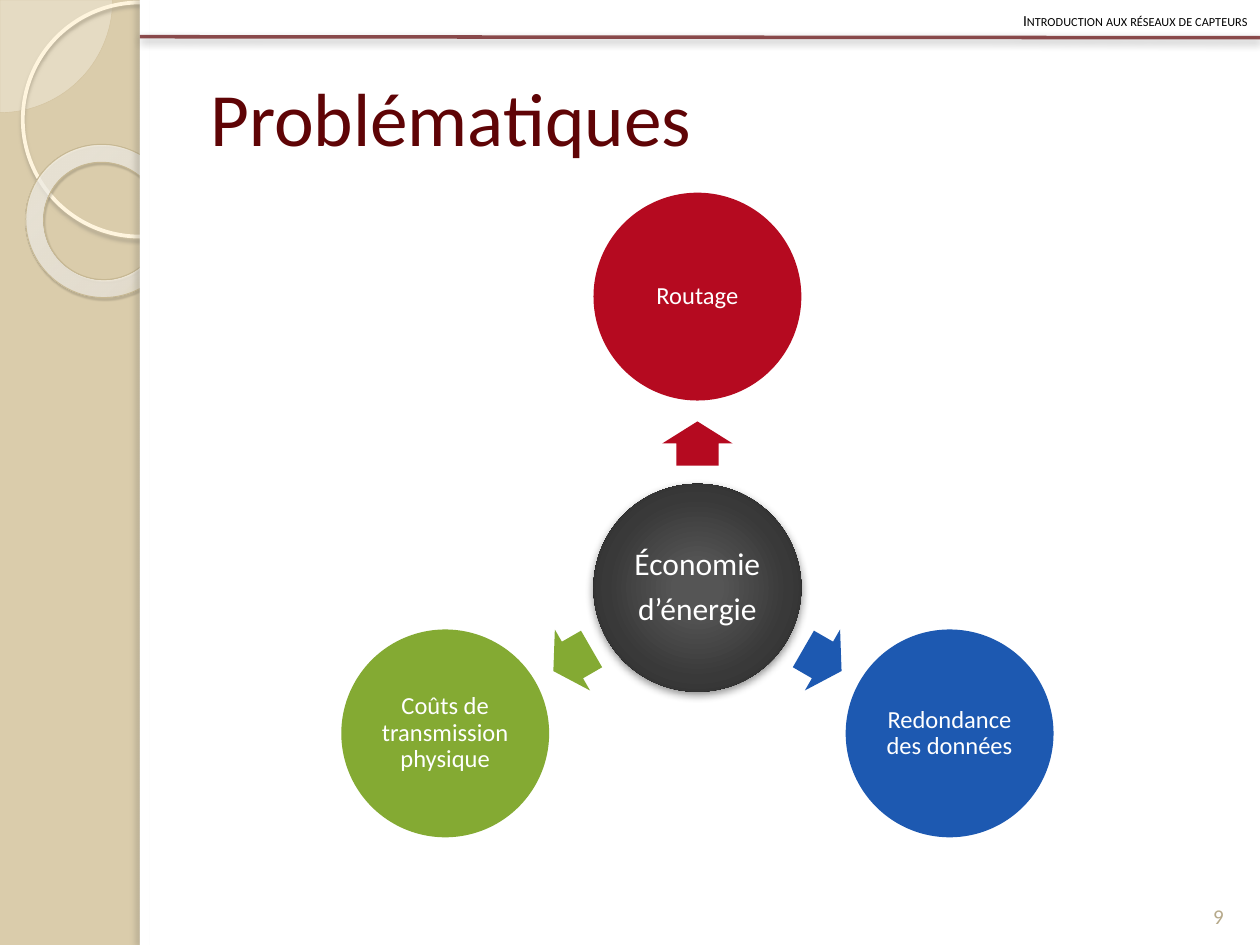
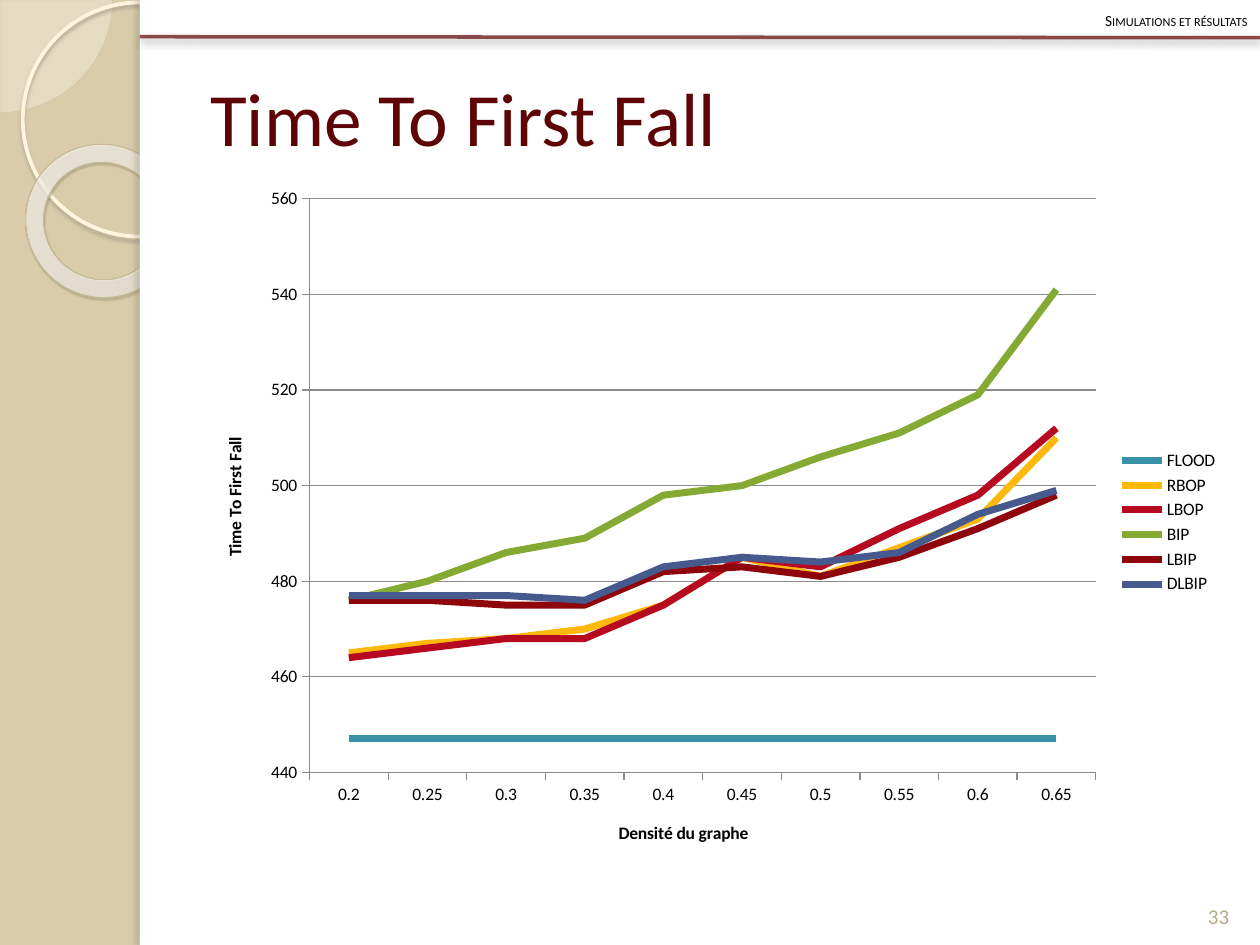
from math import cos, radians, sin

from lxml import etree
from pptx import Presentation
from pptx.chart.data import CategoryChartData
from pptx.dml.color import RGBColor
from pptx.enum.chart import XL_CHART_TYPE, XL_LEGEND_POSITION, XL_MARKER_STYLE, XL_TICK_MARK
from pptx.enum.shapes import MSO_CONNECTOR, MSO_SHAPE
from pptx.enum.text import MSO_ANCHOR, PP_ALIGN
from pptx.oxml.ns import qn
from pptx.util import Cm, Pt

LINE_CHART = XL_CHART_TYPE.LINE
LEGEND_RIGHT = XL_LEGEND_POSITION.RIGHT
NO_MARKER = XL_MARKER_STYLE.NONE
TICK_OUT, TICK_NONE = XL_TICK_MARK.OUTSIDE, XL_TICK_MARK.NONE
STRAIGHT = MSO_CONNECTOR.STRAIGHT
ELLIPSE, RECTANGLE, DONUT = MSO_SHAPE.OVAL, MSO_SHAPE.RECTANGLE, MSO_SHAPE.DONUT
PIE, ARROW = MSO_SHAPE.PIE, MSO_SHAPE.RIGHT_ARROW
MIDDLE, BOTTOM = MSO_ANCHOR.MIDDLE, MSO_ANCHOR.BOTTOM
LEFT, CENTER, RIGHT = PP_ALIGN.LEFT, PP_ALIGN.CENTER, PP_ALIGN.RIGHT

# Shared style
FONT = "Calibri"
WIDTH, HEIGHT = 25.4, 19.05
BAND = 2.82
SAND, WHITE, BLACK, GREY = "DACCAB", "FFFFFF", "000000", "8B8B8B"
MAROON, RED, BLUE, GREEN = "5F0406", "B50A20", "1D59B1", "84AA33"
NUMBER_COLOR = "B6A98A"

# Shadows: colour, opacity %, blur pt, distance pt, direction in degrees
SOFT_SHADOW = (BLACK, 43, 5, 2, 90)
RING_SHADOW = ("B0A68F", 85, 2, 2, 90)
DONUT_SHADOW = ("5A5444", 35, 1, 1.2, 75)
EDGE_SHADOW = ("736F63", 25, 3, 3, 180)

# Gradients: (position %, colour, opacity %), then the focus rectangle in %
DONUT_STOPS = [(0, "FFFCF6", 70), (70, "FFFEFB", 55), (100, "F0D28E", 60)]
DONUT_FOCUS = (-408, -50, 508, 150)
HUB_STOPS = [(0, "555555", 100), (15, "555555", 100), (62, "393939", 100),
             (97, "262626", 100), (100, BLACK, 100)]
HUB_FOCUS = (50, 50, 50, 50)

# Content
ISSUES = {"section": "Introduction aux réseaux de capteurs",
          "title": "Problématiques", "number": "9"}
HUB = ["Économie", "d’énergie"]
SATELLITES = [("Routage", RED, 270), ("Redondance des données", BLUE, 30),
              ("Coûts de transmission physique", GREEN, 150)]

RESULTS = {"section": "Simulations et résultats",
           "title": "Time To First Fall", "number": "33"}
DENSITY_TITLE, FALL_TITLE = "Densité du graphe", "Time To First Fall"
DENSITIES = ["0.2", "0.25", "0.3", "0.35", "0.4", "0.45", "0.5", "0.55", "0.6", "0.65"]
SERIES = [
    ("FLOOD", "3891A7", [447] * len(DENSITIES)),
    ("RBOP", "FEB80A", [465, 467, 468, 470, 475, 485, 481, 487, 493, 510]),
    ("LBOP", RED, [464, 466, 468, 468, 475, 485, 483, 491, 498, 512]),
    ("BIP", GREEN, [476, 480, 486, 489, 498, 500, 506, 511, 519, 541]),
    ("LBIP", "8E060B", [476, 476, 475, 475, 482, 483, 481, 485, 491, 498]),
    ("DLBIP", "475A8D", [477, 477, 477, 476, 483, 485, 484, 486, 494, 499]),
]


def rgb(color):
    return RGBColor.from_string(color)


def child(parent, tag, **attributes):
    element = etree.SubElement(parent, qn(tag))
    for name, value in attributes.items():
        element.set(name, str(value))
    return element


def set_opacity(color_element, percent):
    child(color_element, "a:alpha", val=percent * 1000)


def cast_shadow(effects, color, opacity, blur, distance, direction):
    shadow = child(effects, "a:outerShdw", blurRad=Pt(blur), dist=Pt(distance),
                   dir=direction * 60000, algn="ctr", rotWithShape=0)
    set_opacity(child(shadow, "a:srgbClr", val=color), opacity)


def fill_radial(shape, stops, focus):
    properties = shape.fill._xPr
    gradient = etree.Element(qn("a:gradFill"), rotWithShape="1")
    stop_list = child(gradient, "a:gsLst")
    for position, color, opacity in stops:
        stop = child(stop_list, "a:gs", pos=position * 1000)
        set_opacity(child(stop, "a:srgbClr", val=color), opacity)
    circle = child(gradient, "a:path", path="circle")
    sides = {side: share * 1000 for side, share in zip("ltrb", focus)}
    child(circle, "a:fillToRect", **sides)
    properties.replace(properties.find(qn("a:noFill")), gradient)


def add_figure(page, preset, place, fill=None, line=None, shadow=None):
    """Place is left, top, width, height in cm; line is colour, points."""
    shape = page.shapes.add_shape(preset, *[Cm(length) for length in place])
    if fill:
        shape.fill.solid()
        shape.fill.fore_color.rgb = rgb(fill)
    else:
        shape.fill.background()
    if line:
        shape.line.color.rgb = rgb(line[0])
        shape.line.width = Pt(line[1])
    else:
        shape.line.fill.background()
    shape.shadow.inherit = False
    if shadow:
        cast_shadow(shape._element.spPr.find(qn("a:effectLst")), *shadow)
    return shape


def write(shape, lines, size, color, align=LEFT, anchor=MIDDLE, inset=None,
          spacing=None, before=None, after=None, small_caps=False):
    frame = shape.text_frame
    frame.word_wrap = True
    frame.vertical_anchor = anchor
    if inset is not None:
        frame.margin_left = frame.margin_right = Cm(inset)
        frame.margin_top = frame.margin_bottom = Cm(inset)
    for index, text in enumerate(lines):
        para = frame.add_paragraph() if index else frame.paragraphs[0]
        para.alignment = align
        if spacing:
            para.line_spacing = spacing
        if before:
            para.space_before = Pt(before)
        if after:
            para.space_after = Pt(after)
        span = para.add_run()
        span.text = text
        span.font.name = FONT
        span.font.size = Pt(size)
        span.font.color.rgb = rgb(color)
        if small_caps:
            span.font._element.set("cap", "small")


def add_text(page, place, text, size, color, **style):
    box = page.shapes.add_textbox(*[Cm(length) for length in place])
    write(box, [text], size, color, **style)


def add_page(deck, content):
    page = deck.slides.add_slide(deck.slide_layouts[6])
    page.background.fill.solid()
    page.background.fill.fore_color.rgb = rgb(SAND)

    # Circles in the left band
    quarter = add_figure(page, PIE, (-2.27, -2.27, 4.54, 4.54), "FEFAF4", ("D3C39F", 0.25))
    quarter.adjustments[0], quarter.adjustments[1] = 0, 54
    set_opacity(quarter.fill._xPr.find(qn("a:solidFill"))[0], 33)
    add_figure(page, ELLIPSE, (0.46, 0.05, 4.72, 4.72),
               line=("FFF5DE", 2.15), shadow=RING_SHADOW)
    ring = add_figure(page, DONUT, (0.51, 2.92, 3.12, 3.07),
                      line=("C7B893", 0.58), shadow=DONUT_SHADOW)
    ring.adjustments[0] = 0.118
    ring.rotation = 38.6
    fill_radial(ring, DONUT_STOPS, DONUT_FOCUS)

    # White panel with its shaded edge, and the header rule
    add_figure(page, RECTANGLE, (BAND, 0, WIDTH - BAND, HEIGHT), WHITE)
    add_figure(page, RECTANGLE, (BAND, 0, 0.2, HEIGHT), WHITE, shadow=EDGE_SHADOW)
    rule = page.shapes.add_connector(STRAIGHT, Cm(BAND), Cm(0.74), Cm(WIDTH), Cm(0.76))
    rule.line.color.rgb = rgb(MAROON)
    rule.line.width = Pt(2)
    set_opacity(rule.line.fill._xPr.find(qn("a:solidFill"))[0], 70)
    cast_shadow(child(rule._element.spPr, "a:effectLst"), *SOFT_SHADOW)

    # Title, section header and page number
    add_text(page, (3.99, 0.76, 20.83, 3.18), content["title"], 43, MAROON)
    add_text(page, (0, 0, WIDTH, 0.74), content["section"], 8.8, BLACK,
             align=RIGHT, spacing=1.2, before=6, small_caps=True)
    add_text(page, (23.93, 17.53, 1.27, 1.32), content["number"], 12, NUMBER_COLOR,
             align=CENTER, anchor=BOTTOM)
    return page


def add_radial_diagram(page):
    center_x, center_y = 14.06, 11.85
    diameter, orbit, arrow_orbit = 4.19, 5.87, 2.91
    arrow_width, arrow_height = 0.89, 1.42

    def around(angle, distance, width, height):
        return (center_x + distance * cos(radians(angle)) - width / 2,
                center_y + distance * sin(radians(angle)) - height / 2, width, height)

    hub = add_figure(page, ELLIPSE, around(0, 0, diameter, diameter), shadow=SOFT_SHADOW)
    fill_radial(hub, HUB_STOPS, HUB_FOCUS)
    write(hub, HUB, 18, WHITE, align=CENTER, inset=0.08, spacing=0.9, after=6.3)
    for label, color, angle in SATELLITES:
        arrow = add_figure(page, ARROW, around(angle, arrow_orbit, arrow_width, arrow_height), color)
        arrow.adjustments[0], arrow.adjustments[1] = 0.6, 0.5
        arrow.rotation = angle
        circle = add_figure(page, ELLIPSE, around(angle, orbit, diameter, diameter), color)
        write(circle, [label], 14, WHITE, align=CENTER, inset=0.05, spacing=0.9, after=4.9)


def style_axis(axis, title):
    axis.major_tick_mark = TICK_OUT
    axis.minor_tick_mark = TICK_NONE
    axis.format.line.color.rgb = rgb(GREY)
    span = axis.axis_title.text_frame.paragraphs[0].add_run()
    span.text = title
    span.font.name = FONT
    span.font.size = Pt(10)
    span.font.bold = True
    span.font.color.rgb = rgb(BLACK)


def add_line_chart(page):
    data = CategoryChartData()
    data.categories = DENSITIES
    for name, color, values in SERIES:
        data.add_series(name, values)
    chart = page.shapes.add_chart(LINE_CHART, Cm(3.99), Cm(3.53), Cm(20.83), Cm(14), data).chart
    chart.has_title = False
    chart.font.name = FONT
    chart.font.size = Pt(10)
    chart.font.color.rgb = rgb(BLACK)
    chart.has_legend = True
    chart.legend.position = LEGEND_RIGHT
    chart.legend.include_in_layout = False

    style_axis(chart.category_axis, DENSITY_TITLE)
    falls = chart.value_axis
    style_axis(falls, FALL_TITLE)
    falls.minimum_scale, falls.maximum_scale, falls.major_unit = 440, 560, 20
    falls.has_major_gridlines = True
    falls.major_gridlines.format.line.color.rgb = rgb(GREY)

    plot = chart.plots[0]
    plot.vary_by_categories = False
    for series, (name, color, values) in zip(plot.series, SERIES):
        series.smooth = False
        series.marker.style = NO_MARKER
        series.format.line.color.rgb = rgb(color)
        series.format.line.width = Pt(4)


deck = Presentation()
deck.slide_width, deck.slide_height = Cm(WIDTH), Cm(HEIGHT)
add_radial_diagram(add_page(deck, ISSUES))
add_line_chart(add_page(deck, RESULTS))
deck.save("out.pptx")
